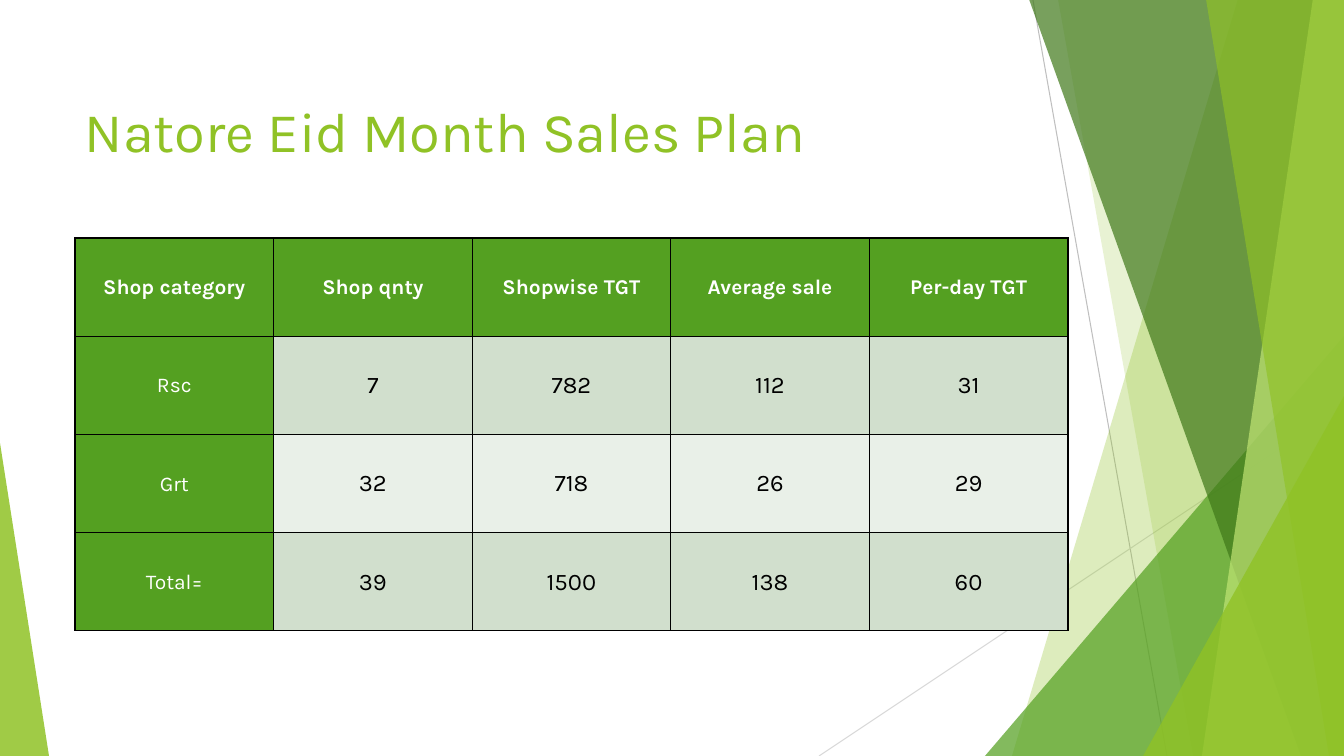
"""Build the Natore Eid month sales plan slide."""
from dataclasses import dataclass

from pptx import Presentation
from pptx.dml.color import RGBColor
from pptx.enum.shapes import MSO_CONNECTOR, MSO_SHAPE
from pptx.enum.text import MSO_ANCHOR, PP_ALIGN
from pptx.oxml import parse_xml
from pptx.oxml.ns import nsdecls, qn
from pptx.oxml.xmlchemy import OxmlElement
from pptx.util import Emu, Pt

EMU_PER_PX = 914400 / 100.8
WIDTH, HEIGHT = 1344, 756
FONT = "Karla"
LIME, GREEN, WHITE, BLACK = "90C226", "54A021", "FFFFFF", "000000"
ROW_BANDS = ("D1DFCD", "E9F0E8")


@dataclass(frozen=True)
class Ray:
    start: tuple[int, int]
    end: tuple[int, int]
    color: str


@dataclass(frozen=True)
class Facet:
    top_left: int
    bottom_left: int
    color: str
    opacity: int


@dataclass(frozen=True)
class Peak:
    left: int
    top: int
    width: int
    apex: float
    color: str
    opacity: int


RAYS = (
    Ray((1033, 0), (1167, HEIGHT), "BFBFBF"),
    Ray((WIDTH, 406), (819, HEIGHT), "D9D9D9"),
)
BACKDROP = (
    Facet(1238, 1012, LIME, 30),
    Facet(1058, 1193, LIME, 20),
    Peak(985, 336, 359, 1, GREEN, 72),
    Facet(1029, 1301, "3F7819", 70),
    Facet(1313, 1202, "C0E474", 70),
    Facet(1206, 1329, LIME, 65),
    Peak(1143, 396, 201, 1, LIME, 80),
    Peak(0, 443, 49, 0, LIME, 85),
)
SALES_PLAN = (
    ("Shop category", "Shop qnty", "Shopwise TGT", "Average sale", "Per-day TGT"),
    ("Rsc", "7", "782", "112", "31"),
    ("Grt", "32", "718", "26", "29"),
    ("Total=", "39", "1500", "138", "60"),
)


def px(value: float) -> Emu:
    return Emu(round(value * EMU_PER_PX))


def rgb(color: str) -> RGBColor:
    return RGBColor.from_string(color)


def write(frame, text: str, *, size: int, color: str, bold: bool = False,
          align=PP_ALIGN.LEFT) -> None:
    frame.word_wrap = True
    paragraph = frame.paragraphs[0]
    paragraph.alignment = align
    run = paragraph.add_run()
    run.text = text
    run.font.name = FONT
    run.font.size = Pt(size)
    run.font.bold = bold
    run.font.color.rgb = rgb(color)


def draw_ray(shapes, ray: Ray) -> None:
    line = shapes.add_connector(
        MSO_CONNECTOR.STRAIGHT, *map(px, ray.start + ray.end))
    line.line.color.rgb = rgb(ray.color)
    line.line.width = Pt(0.75)
    line._element.spPr.append(OxmlElement("a:effectLst"))


def draw_backdrop(shapes, part: Facet | Peak) -> None:
    if isinstance(part, Facet):
        outline = shapes.build_freeform(part.top_left, -1, scale=EMU_PER_PX)
        outline.add_line_segments(
            [(WIDTH, -1), (WIDTH, HEIGHT), (part.bottom_left, HEIGHT)], close=True)
        shape = outline.convert_to_shape()
    else:
        shape = shapes.add_shape(
            MSO_SHAPE.ISOSCELES_TRIANGLE, px(part.left), px(part.top),
            px(part.width), px(HEIGHT - part.top))
        shape.adjustments[0] = part.apex
    shape.shadow.inherit = False
    shape.fill.solid()
    shape.fill.fore_color.rgb = rgb(part.color)
    shape.line.fill.background()
    tint = shape._element.spPr.find(qn("a:solidFill")).find(qn("a:srgbClr"))
    alpha = OxmlElement("a:alpha")
    alpha.set("val", str(part.opacity * 1000))
    tint.append(alpha)


def add_borders(cell) -> None:
    properties = cell._tc.get_or_add_tcPr()
    for side in "LRTB":
        properties.append(parse_xml(
            f'<a:ln{side} {nsdecls("a")} w="{Pt(1)}"><a:solidFill>'
            f'<a:srgbClr val="{BLACK}"/></a:solidFill></a:ln{side}>'))


def draw_cell(cell, text: str, row: int, column: int) -> None:
    heading = row == 0 or column == 0
    cell.margin_left = cell.margin_right = cell.margin_top = px(1)
    cell.margin_bottom = 0
    cell.vertical_anchor = MSO_ANCHOR.MIDDLE
    add_borders(cell)
    cell.fill.solid()
    cell.fill.fore_color.rgb = rgb(GREEN if heading else ROW_BANDS[(row - 1) % 2])
    write(cell.text_frame, text, size=15 if heading else 17,
          color=WHITE if heading else BLACK, bold=row == 0, align=PP_ALIGN.CENTER)


def draw_sales_plan(shapes) -> None:
    plan = shapes.add_table(
        len(SALES_PLAN), len(SALES_PLAN[0]), px(75), px(238), px(993), px(393)).table
    for row, values in enumerate(SALES_PLAN):
        for column, value in enumerate(values):
            draw_cell(plan.cell(row, column), value, row, column)


def main() -> None:
    deck = Presentation()
    deck.slide_width, deck.slide_height = px(WIDTH), px(HEIGHT)
    shapes = deck.slides.add_slide(deck.slide_layouts[6]).shapes
    for ray in RAYS:
        draw_ray(shapes, ray)
    for part in BACKDROP:
        draw_backdrop(shapes, part)
    title = shapes.add_textbox(px(75), px(58), px(948), px(145)).text_frame
    title.vertical_anchor = MSO_ANCHOR.MIDDLE
    write(title, "Natore Eid Month Sales Plan", size=40, color=LIME)
    draw_sales_plan(shapes)
    deck.save("out.pptx")


main()
